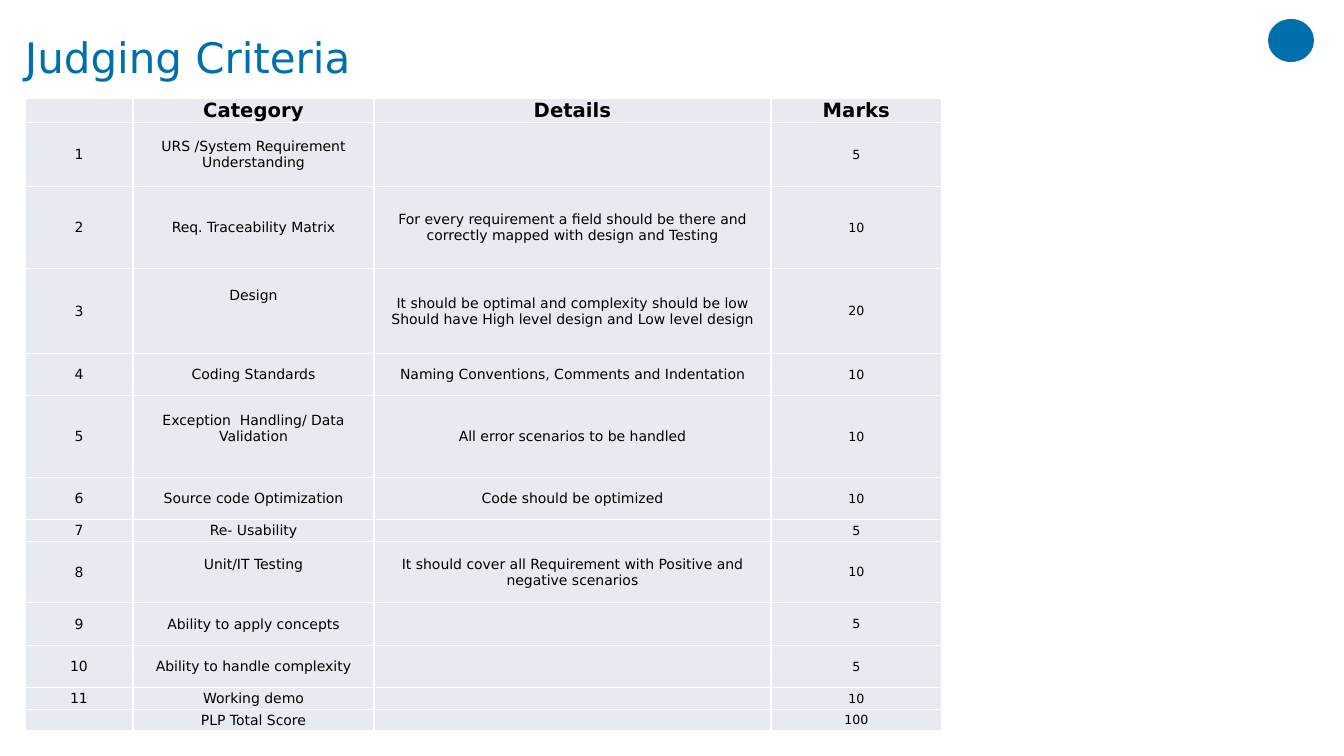
"""Build the Judging Criteria slide with its marks table."""
from lxml import etree
from pptx import Presentation
from pptx import util as u
from pptx.dml.color import RGBColor
from pptx.enum import shapes, text
from pptx.oxml.ns import qn

TITLE = "Judging Criteria"
HEADINGS = ("", "Category", "Details", "Marks")
CRITERIA = [
    ("1", "URS /System Requirement Understanding", "", "5"),
    ("2", "Req. Traceability Matrix",
     "For every requirement a field should be there and correctly mapped with design and Testing", "10"),
    ("3", "Design",
     "It should be optimal and complexity should be low\nShould have High level design and Low level design", "20"),
    ("4", "Coding Standards", "Naming Conventions, Comments and Indentation", "10"),
    ("5", "Exception  Handling/ Data Validation", "All error scenarios to be handled", "10"),
    ("6", "Source code Optimization", "Code should be optimized", "10"),
    ("7", "Re- Usability", "", "5"),
    ("8", "Unit/IT Testing", "It should cover all Requirement with Positive and negative scenarios", "10"),
    ("9", "Ability to apply concepts", "", "5"),
    ("10", "Ability to handle complexity", "", "5"),
    ("11", "Working demo", "", "10"),
    ("", "PLP Total Score", "", "100"),
]
RAISED_LINES = {"Design": 2, "Exception  Handling/ Data Validation": 1, "Unit/IT Testing": 1}

COLUMN_WIDTHS = (108, 241, 397, 171)
ROW_HEIGHTS = (23, 64, 82, 85, 42, 82, 42, 22, 61, 43, 42, 22, 21)
TABLE_LEFT, TABLE_TOP = 25, 98
TITLE_BOX = (25, -1, 1227, 122)
EMBLEM_BOX = (1268, 19, 46, 43)
LINE_HEIGHT = 16

THEME = {
    "font": "DejaVu Sans",
    "blue": RGBColor.from_string("0070AD"),
    "ink": RGBColor.from_string("000000"),
    "cell": RGBColor.from_string("E7EBF1"),
    "border": "FFFFFF",
    "title_size": 30, "heading_size": 14, "body_size": 10, "marks_size": 9,
}


def px(length):
    return u.Emu(round(length * 914400 / 100.8))


def assign(target, values):
    for name, value in values.items():
        setattr(target, name, value)


def style_font(font, size, colour, bold=False):
    assign(font, {"name": THEME["font"], "size": u.Pt(size), "bold": bold})
    font.color.rgb = colour


def add_borders(cell):
    properties = cell._tc.get_or_add_tcPr()
    for position, side in enumerate(("a:lnL", "a:lnR", "a:lnT", "a:lnB")):
        line = etree.Element(qn(side), w=str(u.Pt(1)))
        fill = etree.SubElement(line, qn("a:solidFill"))
        etree.SubElement(fill, qn("a:srgbClr"), val=THEME["border"])
        properties.insert(position, line)


def fill_cell(cell, wording, size, bold):
    raised = RAISED_LINES.get(wording, 0) * LINE_HEIGHT
    assign(cell, {
        "margin_left": px(1), "margin_right": px(1), "margin_top": px(1),
        "margin_bottom": px(raised), "vertical_anchor": text.MSO_ANCHOR.MIDDLE,
    })
    cell.fill.solid()
    cell.fill.fore_color.rgb = THEME["cell"]
    add_borders(cell)
    cell.text_frame.text = wording
    for paragraph in cell.text_frame.paragraphs:
        paragraph.alignment = text.PP_ALIGN.CENTER
        for run in paragraph.runs:
            style_font(run.font, size, THEME["ink"], bold)
        etree.SubElement(paragraph._p, qn("a:endParaRPr"), sz=str(size * 100))


def add_title(slide):
    frame = slide.shapes.add_textbox(*map(px, TITLE_BOX)).text_frame
    assign(frame, {
        "margin_left": 0, "margin_right": 0, "margin_top": 0, "margin_bottom": 0,
        "word_wrap": True, "vertical_anchor": text.MSO_ANCHOR.MIDDLE, "text": TITLE,
    })
    heading = frame.paragraphs[0]
    heading.line_spacing = 0.9
    style_font(heading.runs[0].font, THEME["title_size"], THEME["blue"])


def add_emblem(slide):
    emblem = slide.shapes.add_shape(shapes.MSO_SHAPE.OVAL, *map(px, EMBLEM_BOX))
    emblem.shadow.inherit = False
    emblem.fill.solid()
    emblem.fill.fore_color.rgb = THEME["blue"]
    emblem.line.fill.background()


def add_criteria(slide):
    rows = [HEADINGS, *CRITERIA]
    criteria = slide.shapes.add_table(
        len(rows), len(HEADINGS), px(TABLE_LEFT), px(TABLE_TOP),
        px(sum(COLUMN_WIDTHS)), px(sum(ROW_HEIGHTS))).table
    criteria.horz_banding = False
    for column, width in zip(criteria.columns, COLUMN_WIDTHS):
        column.width = px(width)
    body_sizes = [THEME["body_size"]] * 3 + [THEME["marks_size"]]
    for index, (row, height) in enumerate(zip(criteria.rows, ROW_HEIGHTS)):
        row.height = px(height)
        is_heading = index == 0
        sizes = [THEME["heading_size"]] * 4 if is_heading else body_sizes
        for cell, wording, size in zip(row.cells, rows[index], sizes):
            fill_cell(cell, wording, size, is_heading)


def main():
    deck = Presentation()
    assign(deck, {"slide_width": px(1344), "slide_height": px(756)})
    slide = deck.slides.add_slide(deck.slide_layouts[6])
    add_emblem(slide)
    add_title(slide)
    add_criteria(slide)
    deck.save("out.pptx")


if __name__ == "__main__":
    main()
